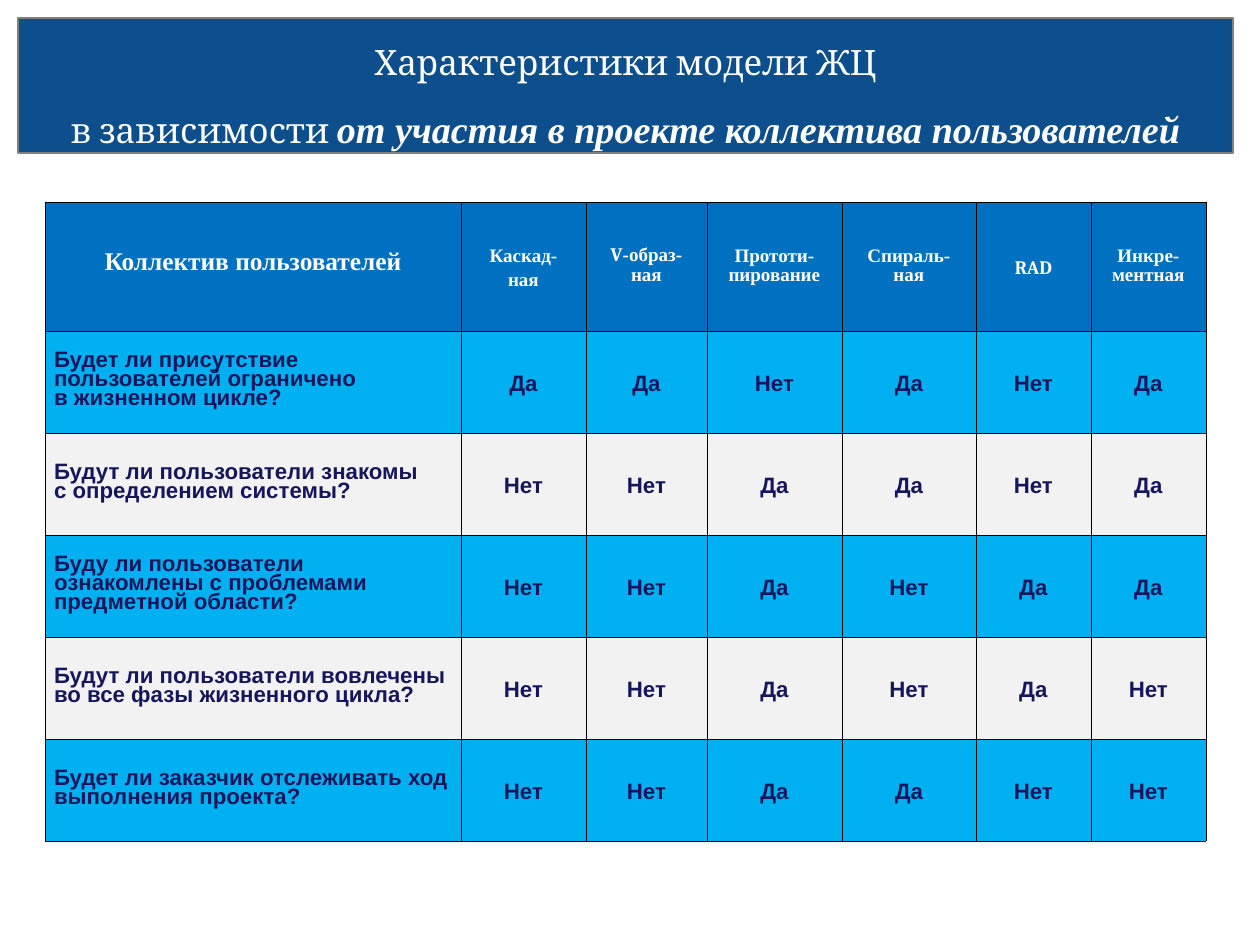
from lxml.etree import SubElement
from pptx import Presentation
from pptx.dml.color import RGBColor
from pptx.enum.text import MSO_ANCHOR, MSO_AUTO_SIZE, PP_ALIGN
from pptx.oxml.ns import qn
from pptx.util import Emu, Pt

PIXEL = 8000
SERIF, TIMES, SANS = "Cambria", "Times New Roman", "Arial"
WHITE, NAVY, BLACK = "FFFFFF", "16165D", "000000"
HEADER_BLUE, ROW_BLUE, ROW_GREY = "0070C0", "00B0F0", "F2F2F2"

TITLE_BOX = (18, 18, 1215, 135)
TABLE_BOX = (45, 202, 1161, 639)
COLUMN_WIDTHS = (416, 125, 121, 135, 134, 115, 115)
HEADER_HEIGHT = 129

TIGHT = {"line_spacing": Pt(12)}
CENTERED = {"alignment": PP_ALIGN.CENTER, "line_spacing": Pt(12)}
LOOSE = {"alignment": PP_ALIGN.CENTER, "line_spacing": 1.15}
SPACED = {**LOOSE, "space_before": Pt(5)}
TITLE_LINES = {"alignment": PP_ALIGN.CENTER, "line_spacing": 1.5}

TITLE_FONT = {"name": SERIF, "size": Pt(22)}
TITLE_ACCENT = {"name": TIMES, "size": Pt(24), "bold": True, "italic": True}
CORNER_FONT = {"name": TIMES, "size": Pt(16), "bold": True}
HEADER_FONT = {"name": TIMES, "size": Pt(12), "bold": True}
LATIN_FONT = {"name": SERIF, "size": Pt(12), "bold": True}
BODY_FONT = {"name": SANS, "size": Pt(14), "bold": True}

TITLE = [
    [("Характеристики модели ЖЦ", TITLE_FONT)],
    [("в зависимости ", TITLE_FONT),
     ("от участия в проекте коллектива пользователей", TITLE_ACCENT)],
]
HEADERS = [
    (CENTERED, [[("Коллектив пользователей", CORNER_FONT)]]),
    (LOOSE, [[("Каскад-", HEADER_FONT)], [("ная", HEADER_FONT)]]),
    (CENTERED, [[("V", LATIN_FONT), ("-образ-", HEADER_FONT)], [("ная", HEADER_FONT)]]),
    (CENTERED, [[("Прототи-", HEADER_FONT)], [("пирование", HEADER_FONT)]]),
    (CENTERED, [[("Спираль-", HEADER_FONT)], [("ная", HEADER_FONT)]]),
    (SPACED, [[("RAD", LATIN_FONT)]]),
    (CENTERED, [[("Инкре-", HEADER_FONT)], [("ментная", HEADER_FONT)]]),
]
QUESTIONS = [
    (["Будет ли присутствие пользователей ограничено", "в жизненном цикле?"],
     "Да Да Нет Да Нет Да"),
    (["Будут ли пользователи знакомы", "с определением системы?"],
     "Нет Нет Да Да Нет Да"),
    (["Буду ли пользователи ознакомлены с проблемами предметной области?"],
     "Нет Нет Да Нет Да Да"),
    (["Будут ли пользователи вовлечены во все фазы жизненного цикла?"],
     "Нет Нет Да Нет Да Нет"),
    (["Будет ли заказчик отслеживать ход выполнения проекта?"],
     "Нет Нет Да Да Нет Нет"),
]


def px(length):
    """Turn whole pixels into EMU."""
    return Emu(length * PIXEL)


def color(value):
    """Turn a hex string into a colour."""
    return RGBColor.from_string(value)


def set_format(target, values):
    """Set each attribute of the target from a dict."""
    for name, value in values.items():
        setattr(target, name, value)


def write(frame, lines, layout, ink):
    """Fill a text frame with paragraphs of formatted spans."""
    for index, line in enumerate(lines):
        para = frame.add_paragraph() if index else frame.paragraphs[0]
        set_format(para, layout)
        for text, font in line:
            span = para.add_run()
            span.text = text
            set_format(span.font, font)
            span.font.color.rgb = color(ink)


def add_borders(cell):
    """Draw a thin black line on each side of a cell."""
    properties = cell._tc.get_or_add_tcPr()
    for side in ("a:lnL", "a:lnR", "a:lnT", "a:lnB"):
        line = SubElement(properties, qn(side), w=str(Pt(0.45)))
        fill = SubElement(line, qn("a:solidFill"))
        SubElement(fill, qn("a:srgbClr"), val=BLACK)


def fill_cell(cell, lines, layout, ink, background):
    """Give a cell its borders, fill and text."""
    add_borders(cell)
    cell.fill.solid()
    cell.fill.fore_color.rgb = color(background)
    set_format(cell, {"vertical_anchor": MSO_ANCHOR.MIDDLE,
                      "margin_left": px(9), "margin_right": px(9)})
    write(cell.text_frame, lines, layout, ink)


def place_title(page, box):
    """Place the title banner in the given box."""
    banner = page.shapes.title
    set_format(banner, dict(zip(("left", "top", "width", "height"), map(px, box))))
    banner.fill.solid()
    banner.fill.fore_color.rgb = color("004586")
    tint = banner.fill._xPr.find(qn("a:solidFill"))[0]
    SubElement(tint, qn("a:alpha"), val="95000")
    banner.line.color.rgb = color("808080")
    banner.line.width = Pt(0.75)
    set_format(banner.text_frame, {"auto_size": MSO_AUTO_SIZE.NONE, "word_wrap": True,
                                   "vertical_anchor": MSO_ANCHOR.MIDDLE})
    write(banner.text_frame, TITLE, TITLE_LINES, WHITE)


def place_table(page, box):
    """Place the table of questions and answers in the given box."""
    frame = page.shapes.add_table(len(QUESTIONS) + 1, len(HEADERS), *map(px, box))
    table = frame.table
    set_format(table, {"first_row": False, "horz_banding": False})
    for column, width in zip(table.columns, COLUMN_WIDTHS):
        column.width = px(width)
    row_height = (box[3] - HEADER_HEIGHT) // len(QUESTIONS)
    for index, row in enumerate(table.rows):
        row.height = px(row_height if index else HEADER_HEIGHT)
    for column, (layout, lines) in enumerate(HEADERS):
        fill_cell(table.cell(0, column), lines, layout, WHITE, HEADER_BLUE)
    for row, (question, answers) in enumerate(QUESTIONS, 1):
        background = ROW_BLUE if row % 2 else ROW_GREY
        lines = [[(text, BODY_FONT)] for text in question]
        fill_cell(table.cell(row, 0), lines, TIGHT, NAVY, background)
        for column, answer in enumerate(answers.split(), 1):
            fill_cell(table.cell(row, column), [[(answer, BODY_FONT)]],
                      SPACED, NAVY, background)


def main():
    """Build the slide and save the deck."""
    deck = Presentation()
    set_format(deck, {"slide_width": px(1260), "slide_height": px(945)})
    page = deck.slides.add_slide(deck.slide_layouts[5])
    place_title(page, TITLE_BOX)
    place_table(page, TABLE_BOX)
    deck.save("out.pptx")


if __name__ == "__main__":
    main()
